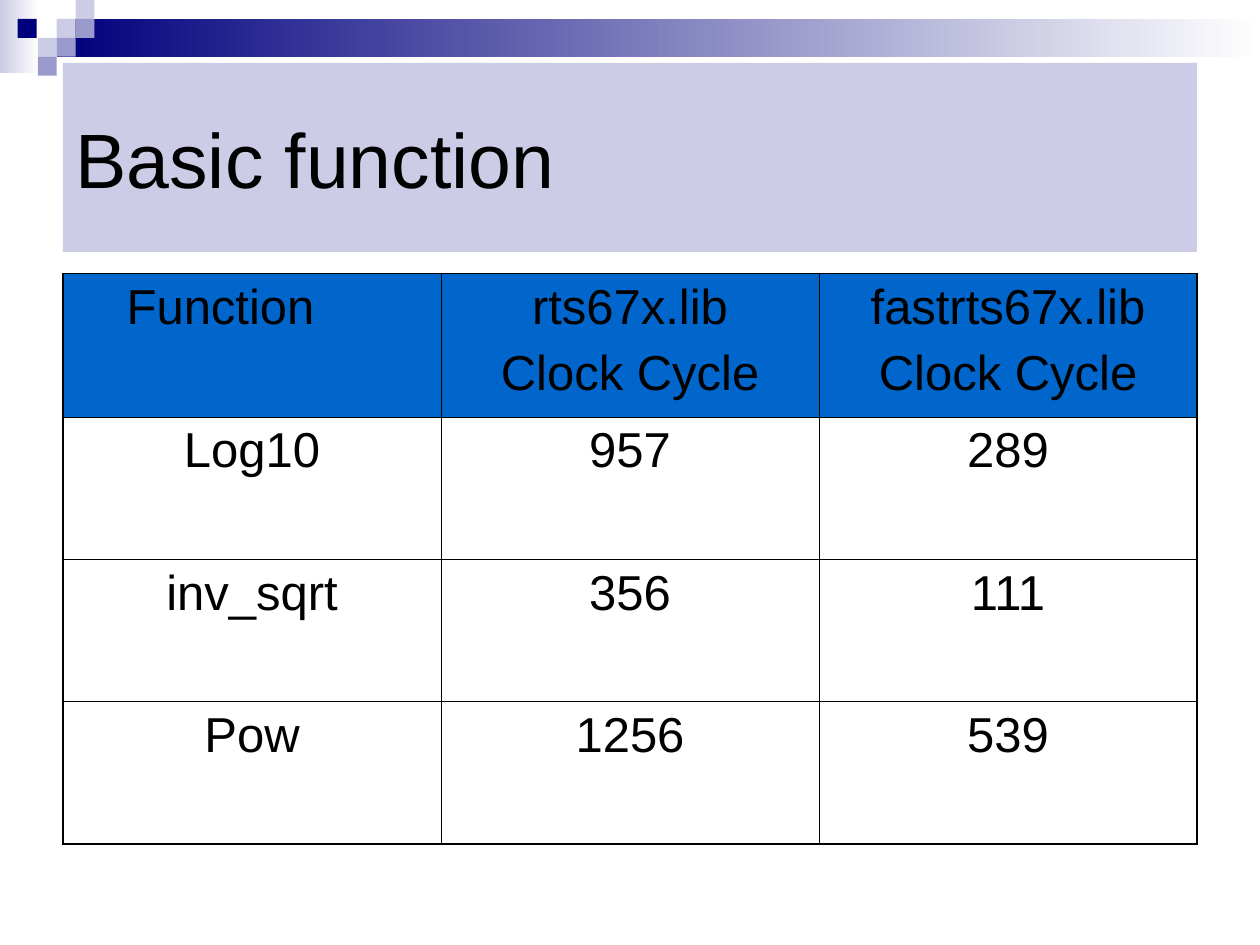
from lxml import etree
from pptx import Presentation
from pptx.dml.color import RGBColor
from pptx.enum.shapes import MSO_SHAPE
from pptx.enum.text import MSO_ANCHOR, PP_ALIGN
from pptx.oxml.ns import qn
from pptx.util import Inches, Pt

RECT = MSO_SHAPE.RECTANGLE
MIDDLE = MSO_ANCHOR.MIDDLE
LEFT, CENTER = PP_ALIGN.LEFT, PP_ALIGN.CENTER

LAVENDER, LILAC, NAVY = "CCCCE6", "9999CC", "00007D"
WHITE, BLACK, BLUE = "FFFFFF", "000000", "0066CC"
THIN, THICK = Pt(0.45), Pt(1.08)

rgb = RGBColor.from_string


def add_rect(x, y, w, h, *colors):
    """One colour gives a solid fill, two a left-to-right gradient."""
    s = shapes.add_shape(RECT, Inches(x), Inches(y), Inches(w), Inches(h))
    s.shadow.inherit = False
    s.line.fill.background()
    if len(colors) == 1:
        s.fill.solid()
        s.fill.fore_color.rgb = rgb(colors[0])
    else:
        s.fill.gradient()
        s.fill.gradient_angle = 0
        for stop, color in zip(s.fill.gradient_stops, colors):
            stop.color.rgb = rgb(color)
    return s


def write(tf, text, size=28, align=CENTER, color=BLACK, space=7):
    """Write one paragraph per line of text."""
    tf.word_wrap = True
    for i, line in enumerate(text.split("\n")):
        p = tf.add_paragraph() if i else tf.paragraphs[0]
        p.alignment = align
        if i:
            p.space_before = Pt(space)
        r = p.add_run()
        r.text = line
        r.font.name = "Arial"
        r.font.size = Pt(size)
        r.font.color.rgb = rgb(color)


prs = Presentation()
prs.slide_width, prs.slide_height = Inches(10), Inches(7.5)
shapes = prs.slides.add_slide(prs.slide_layouts[6]).shapes

# Header bands and mosaic squares
add_rect(0, 0, 0.31, 0.58, LAVENDER, WHITE)
add_rect(0.45, 0.15, 9.55, 0.3, NAVY, WHITE)
squares = [
    (0.45, 0.15, LAVENDER), (0.6, 0, LAVENDER), (0.6, 0.15, LILAC),
    (0.3, 0.3, LAVENDER), (0.14, 0.15, NAVY), (0.45, 0.3, LILAC),
    (0.3, 0.45, LILAC),
]
for x, y, color in squares:
    add_rect(x, y, 0.15, 0.15, color)

# Title
title = add_rect(0.5, 0.5, 9, 1.5, LAVENDER)
title.text_frame.vertical_anchor = MIDDLE
write(title.text_frame, "Basic function", size=44, align=LEFT)

# Table of clock cycles
rows = [
    ("Function", "rts67x.lib\nClock Cycle", "fastrts67x.lib\nClock Cycle"),
    ("Log10", "957", "289"),
    ("inv_sqrt", "356", "111"),
    ("Pow", "1256", "539"),
]
last_row, last_col = len(rows) - 1, len(rows[0]) - 1
table = shapes.add_table(len(rows), len(rows[0]), Inches(0.5), Inches(2.17),
                         Inches(9), Inches(4.54)).table
for i, row in enumerate(rows):
    table.rows[i].height = Inches(1.13 if i else 1.14)
    for j, text in enumerate(row):
        cell = table.cell(i, j)
        write(cell.text_frame, text)
        # Borders go before the fill; the outer frame is thicker
        outer = {"a:lnL": j == 0, "a:lnR": j == last_col,
                 "a:lnT": i == 0, "a:lnB": i == last_row}
        tc_pr = cell._tc.get_or_add_tcPr()
        for tag, is_outer in outer.items():
            ln = etree.SubElement(tc_pr, qn(tag), w=str(THICK if is_outer else THIN))
            fill = etree.SubElement(ln, qn("a:solidFill"))
            etree.SubElement(fill, qn("a:srgbClr"), val=BLACK)
        if i == 0:
            cell.fill.solid()
            cell.fill.fore_color.rgb = rgb(BLUE)
        else:
            cell.fill.background()

# The first heading sits left of its column centre
table.cell(0, 0).margin_right = Inches(0.6)

prs.save("out.pptx")
